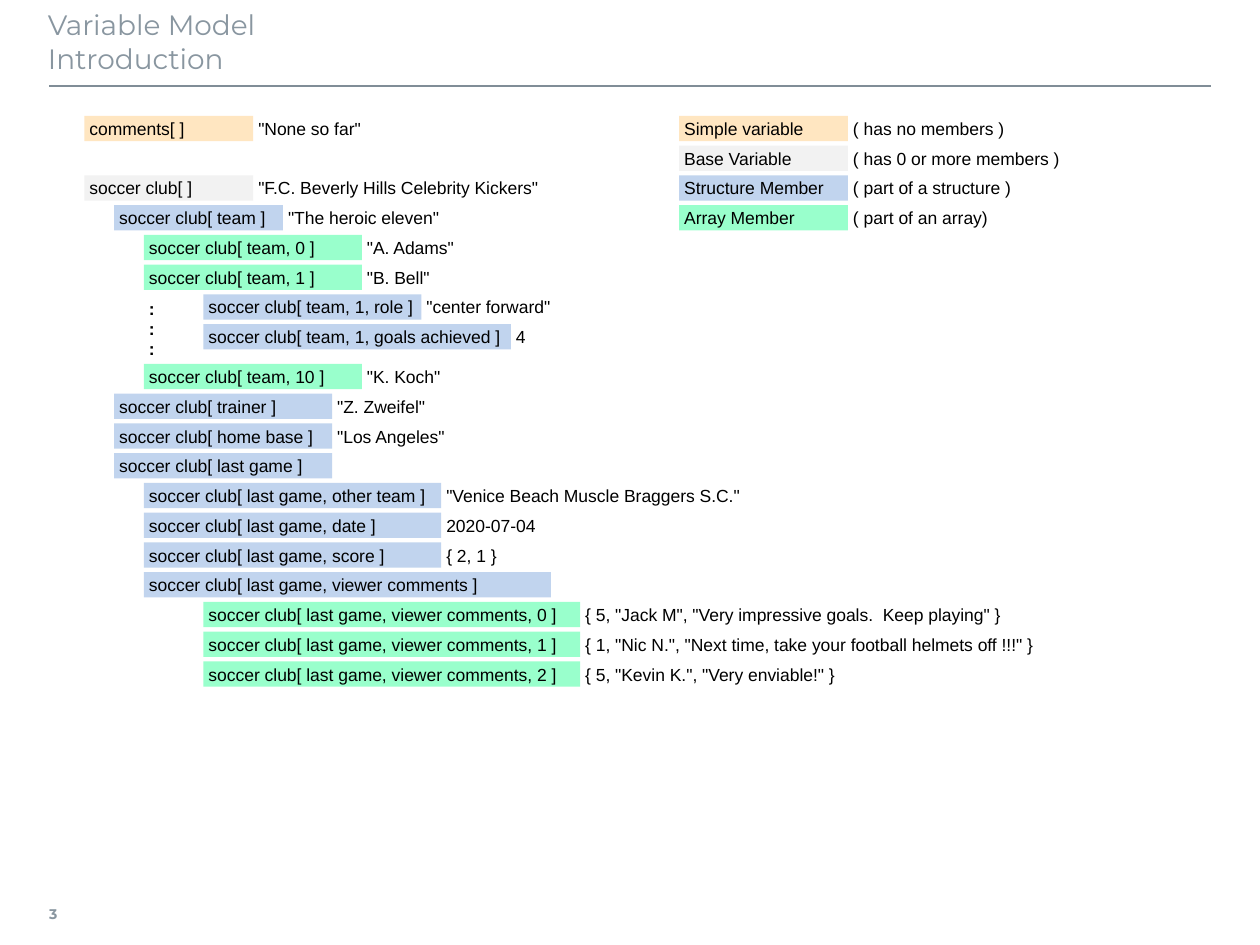
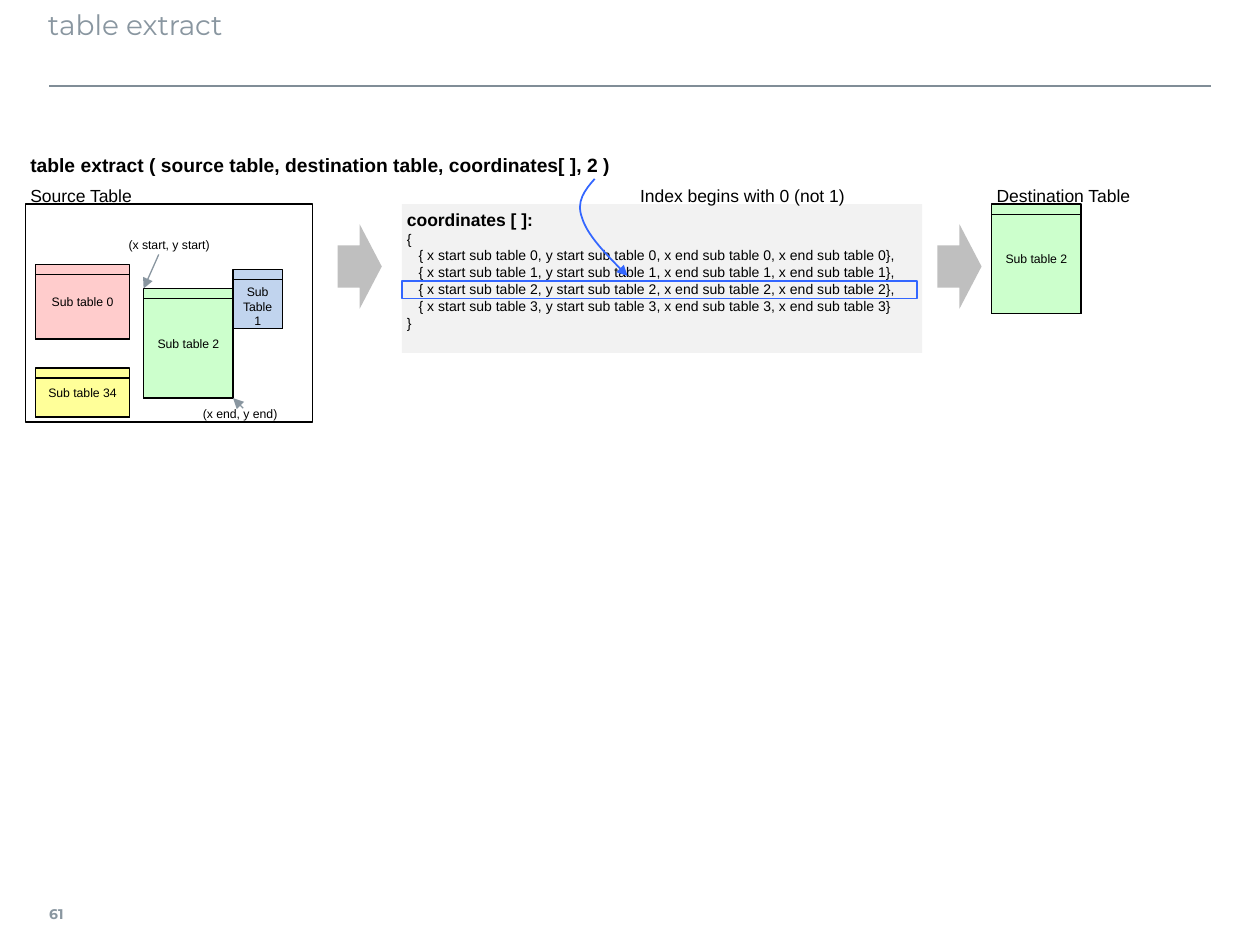
"""Build two slides: the variable model and the table extract function."""
from dataclasses import dataclass

from lxml.etree import SubElement
from pptx import Presentation
from pptx.dml.color import RGBColor
from pptx.enum.shapes import MSO_CONNECTOR as CONN, MSO_SHAPE as SHAPE
from pptx.enum.text import MSO_ANCHOR as ANCHOR, MSO_AUTO_SIZE as AUTO, PP_ALIGN as ALIGN
from pptx.oxml.ns import qn
from pptx.util import Inches, Pt


@dataclass(frozen=True)
class Theme:
    black: str = "000000"
    gray: str = "8996A0"
    rule: str = "808D97"
    arrow: str = "BFBFBF"
    simple: str = "FFE6C1"
    base: str = "F2F2F2"
    member: str = "C1D4EE"
    array: str = "99FFCC"
    pink: str = "FFCCCC"
    green: str = "CCFFCC"
    yellow: str = "FFFF99"
    accent: str = "3366FF"
    body_font: str = "Arial"
    title_font: str = "Montserrat"
    title: int = 16
    call: int = 11
    body: int = 10
    code: int = 8
    page: int = 8
    small: int = 7


T = Theme()

# row, indent level, width, kind, name, value
VARIABLES = [
    (0, 0, 1.34, T.simple, "comments[ ]", '"None so far"'),
    (2, 0, 1.34, T.base, "soccer club[ ]", '"F.C. Beverly Hills Celebrity Kickers"'),
    (3, 1, 1.34, T.member, "soccer club[ team ]", '"The heroic eleven"'),
    (4, 2, 1.73, T.array, "soccer club[ team, 0 ]", '"A. Adams"'),
    (5, 2, 1.73, T.array, "soccer club[ team, 1 ]", '"B. Bell"'),
    (6, 4, 1.73, T.member, "soccer club[ team, 1, role ]", '"center forward"'),
    (7, 4, 2.44, T.member, "soccer club[ team, 1, goals achieved ]", "4"),
    (8, 2, 1.73, T.array, "soccer club[ team, 10 ]", '"K. Koch"'),
    (9, 1, 1.73, T.member, "soccer club[ trainer ]", '"Z. Zweifel"'),
    (10, 1, 1.73, T.member, "soccer club[ home base ]", '"Los Angeles"'),
    (11, 1, 1.73, T.member, "soccer club[ last game ]", None),
    (12, 2, 2.36, T.member, "soccer club[ last game, other team ]",
     '"Venice Beach Muscle Braggers S.C."'),
    (13, 2, 2.36, T.member, "soccer club[ last game, date ]", "2020-07-04"),
    (14, 2, 2.36, T.member, "soccer club[ last game, score ]", "{ 2, 1 }"),
    (15, 2, 3.23, T.member, "soccer club[ last game, viewer comments ]", None),
    (16, 4, 2.99, T.array, "soccer club[ last game, viewer comments, 0 ]",
     '{ 5, "Jack M", "Very impressive goals.  Keep playing" }'),
    (17, 4, 2.99, T.array, "soccer club[ last game, viewer comments, 1 ]",
     '{ 1, "Nic N.", "Next time, take your football helmets off !!!" }'),
    (18, 4, 2.99, T.array, "soccer club[ last game, viewer comments, 2 ]",
     '{ 5, "Kevin K.", "Very enviable!" }'),
]
LEGEND = [
    (T.simple, "Simple variable", "( has no members )"),
    (T.base, "Base Variable", "( has 0 or more members )"),
    (T.member, "Structure Member", "( part of a structure )"),
    (T.array, "Array Member", "( part of an array)"),
]
LEFT, TOP, ROW_H = 0.67, 0.92, 0.2
ELLIPSIS_GAP = 0.08
PITCH = (5.25 - TOP - ELLIPSIS_GAP) / 18
LEGEND_LEFT, LEGEND_W, VALUE_W = 5.39, 1.34, 1.73

# place, text, format
LABELS = [
    ((0.2, 1.23, 1.18, 0.16),
     "table extract ( source table, destination table, coordinates[ ], 2 )",
     dict(size=T.call, bold=True)),
    ((0.2, 1.47, 1.18, 0.16), "Source Table", {}),
    ((5.04, 1.47, 1.18, 0.16), "Index begins with 0 (not 1)", {}),
    ((7.87, 1.47, 1.18, 0.16), "Destination Table", {}),
    ((0.98, 1.86, 0.91, 0.16), "(x start, y start)", dict(size=T.small)),
    ((1.57, 3.2, 0.71, 0.16), "(x end, y end)", dict(size=T.small)),
]
# place, fill, text, top inset
SUB_TABLES = [
    ((0.28, 2.1, 0.75, 0.59), T.pink, "Sub table 0", 0.04),
    ((1.14, 2.29, 0.71, 0.87), T.green, "Sub table 2", 0.04),
    ((1.85, 2.14, 0.39, 0.47), T.member, "Sub\nTable\n1", 0.15),
    ((0.28, 2.92, 0.75, 0.39), T.yellow, "Sub table 34", 0.04),
    ((7.87, 1.62, 0.71, 0.87), T.green, "Sub table 2", 0.04),
]
HEADER_H = 0.08
COORDINATES = ["{"] + [
    f"   {{ x start sub table {n}, y start sub table {n}, "
    f"x end sub table {n}, x end sub table {n}}}{',' if n < 3 else ''}"
    for n in range(4)] + ["}"]
POINTERS = [((1.26, 2.02), (1.14, 2.29)), ((1.93, 3.24), (1.85, 3.16))]
INDEX_CURVE = [(4.72, 1.42), (4.64, 1.51), (4.57, 1.6), (4.62, 1.73),
               (4.66, 1.86), (4.82, 2.03), (4.98, 2.19)]


def rgb(color):
    return RGBColor.from_string(color)


def write(tf, text, size=T.body, bold=False, font=T.body_font, color=T.black,
          align=ALIGN.LEFT, anchor=ANCHOR.MIDDLE, insets=(0.04,) * 4, wrap=False):
    """Append the lines of text to a frame, one paragraph each."""
    tf.auto_size, tf.word_wrap, tf.vertical_anchor = AUTO.NONE, wrap, anchor
    tf.margin_left, tf.margin_top, tf.margin_right, tf.margin_bottom = map(Inches, insets)
    for line in text.split("\n"):
        p = tf.add_paragraph() if tf.text else tf.paragraphs[0]
        p.alignment = align
        r = p.add_run()
        r.text = line
        r.font.size, r.font.bold, r.font.name = Pt(size), bold, font
        r.font.color.rgb = rgb(color)


def add_label(s, at, text, **fmt):
    write(s.shapes.add_textbox(*map(Inches, at)).text_frame, text, **fmt)


def add_box(s, at, fill=None, line=None, width=0.75, text=None, shape=SHAPE.RECTANGLE, **fmt):
    sp = s.shapes.add_shape(shape, *map(Inches, at))
    sp.shadow.inherit = False
    if fill:
        sp.fill.solid()
        sp.fill.fore_color.rgb = rgb(fill)
    else:
        sp.fill.background()
    if line:
        sp.line.color.rgb, sp.line.width = rgb(line), Pt(width)
    else:
        sp.line.fill.background()
    if text:
        write(sp.text_frame, text, **fmt)
    return sp


def style_line(sp, color, width, arrow=False):
    sp.line.color.rgb, sp.line.width = rgb(color), Pt(width)
    if arrow:
        SubElement(sp._element.spPr.find(qn("a:ln")), qn("a:tailEnd"), type="triangle")


def add_line(s, start, end, color, width, arrow=False):
    sp = s.shapes.add_connector(CONN.STRAIGHT, *map(Inches, (*start, *end)))
    style_line(sp, color, width, arrow)
    SubElement(sp._element.spPr, qn("a:effectLst"))


def add_curve(s, points, color, width):
    """Draw a cubic curve: a start point, then three points for each section."""
    start, *rest = [tuple(map(Inches, point)) for point in points]
    builder = s.shapes.build_freeform(*start)
    builder.add_line_segments(rest, close=False)
    sp = builder.convert_to_shape()
    sp.shadow.inherit = False
    sp.fill.background()
    style_line(sp, color, width, arrow=True)
    outline = next(sp._element.iter(qn("a:path")))
    segments = outline.findall(qn("a:lnTo"))
    for i in range(0, len(segments), 3):
        section = SubElement(outline, qn("a:cubicBezTo"))
        for segment in segments[i:i + 3]:
            section.append(segment[0])
            outline.remove(segment)


def add_slide(prs, title, page):
    s = prs.slides.add_slide(prs.slide_layouts[5])
    sp = s.shapes.title
    sp.left, sp.top, sp.width, sp.height = map(Inches, (0.38, 0.01, 9.21, 0.63))
    write(sp.text_frame, title, size=T.title, font=T.title_font, color=T.gray,
          anchor=ANCHOR.TOP, insets=(0, 0.05, 0.1, 0.05), wrap=True)
    add_line(s, (0.39, 0.68), (9.61, 0.68), T.rule, 1)
    add_label(s, (0.39, 7.06, 0.35, 0.39), page, size=T.page, bold=True,
              font=T.title_font, color=T.gray, insets=(0, 0.05, 0.08, 0.05))
    return s


def add_entry(s, x, y, width, kind, name, value):
    add_box(s, (x, y, width, ROW_H), kind, text=name)
    if value:
        add_label(s, (x + width, y, VALUE_W, ROW_H), value)


def build_variable_model(prs):
    s = add_slide(prs, "Variable Model\nIntroduction", "3")
    for row, level, *entry in VARIABLES:
        y = TOP + row * PITCH + (ELLIPSIS_GAP if row > 7 else 0)
        add_entry(s, LEFT + level * PITCH, y, *entry)
    for i in range(3):
        add_label(s, (LEFT + 2 * PITCH, 2.33 + i * 0.16, 0.16, 0.24), ":", bold=True)
    for row, entry in enumerate(LEGEND):
        add_entry(s, LEGEND_LEFT, TOP + row * PITCH, LEGEND_W, *entry)


def build_table_extract(prs):
    s = add_slide(prs, "table extract", "61")
    add_box(s, (0.2, 1.62, 2.28, 1.73), line=T.black)
    for (x, y, w, h), fill, text, inset in SUB_TABLES:
        add_box(s, (x, y, w, h), fill, T.black, text=text, size=T.small,
                align=ALIGN.CENTER, insets=(0.04, inset, 0.04, 0.04))
        add_box(s, (x, y + HEADER_H, w, h - HEADER_H), line=T.black)
    code = add_box(s, (3.19, 1.62, 4.13, 1.18), T.base, text="coordinates [ ]:",
                   bold=True, anchor=ANCHOR.TOP)
    write(code.text_frame, "\n".join(COORDINATES), size=T.code, anchor=ANCHOR.TOP)
    add_box(s, (3.19, 2.23, 4.09, 0.14), line=T.accent, width=1)
    for x in (2.52, 7.28):
        add_box(s, (x, 1.94, 0.67, 0.35), T.arrow, shape=SHAPE.DOWN_ARROW).rotation = 270
    for at, text, fmt in LABELS:
        add_label(s, at, text, **fmt)
    for start, end in POINTERS:
        add_line(s, start, end, T.gray, 0.75, arrow=True)
    add_curve(s, INDEX_CURVE, T.accent, 1)


def main():
    prs = Presentation()
    prs.slide_width, prs.slide_height = Inches(10), Inches(7.5)
    build_variable_model(prs)
    build_table_extract(prs)
    prs.save("out.pptx")


if __name__ == "__main__":
    main()
